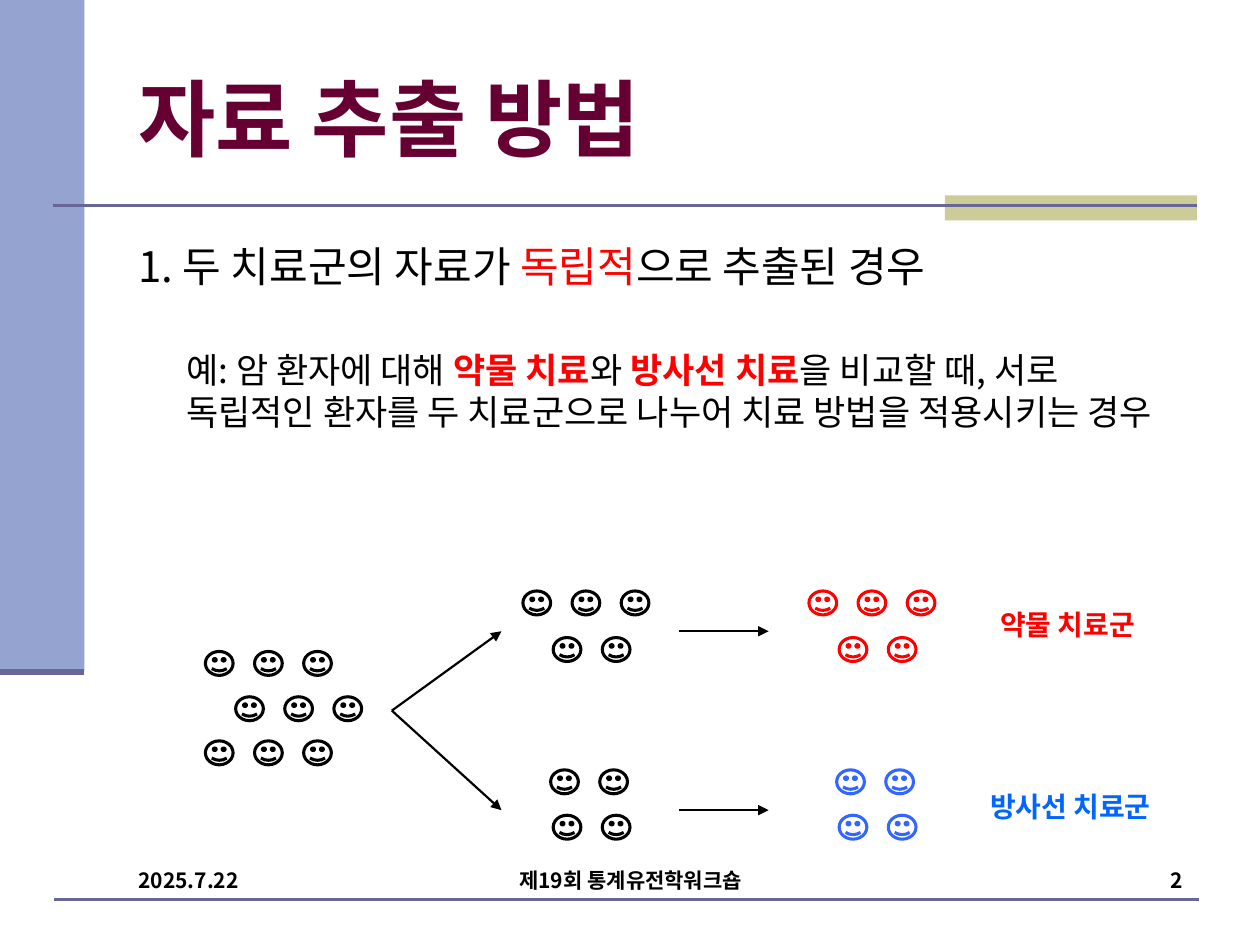
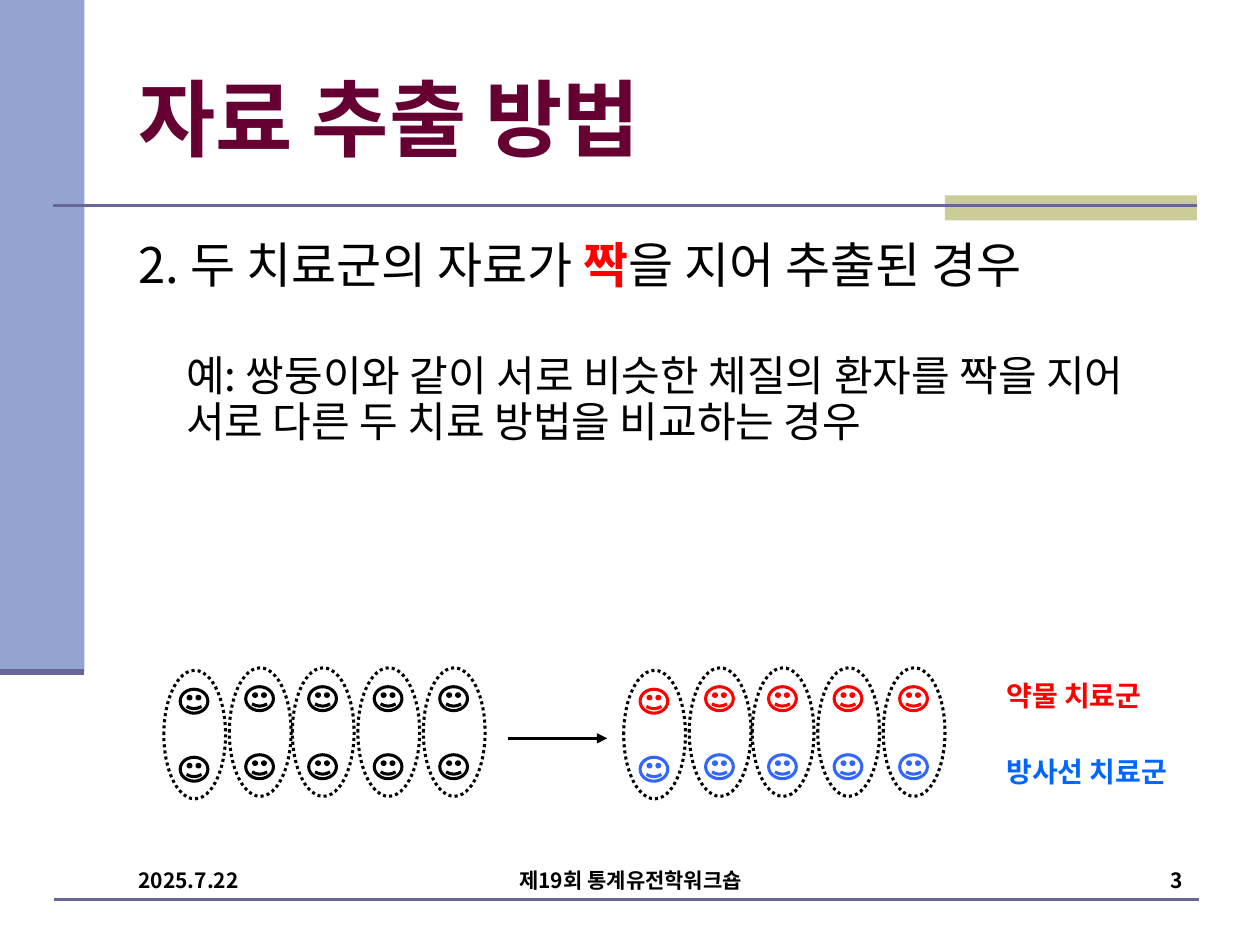
from dataclasses import dataclass

from pptx import Presentation
from pptx.dml.color import RGBColor as Color
from pptx.enum.dml import MSO_LINE as Dash
from pptx.enum.shapes import MSO_CONNECTOR as Link, MSO_SHAPE as Form
from pptx.enum.text import MSO_ANCHOR as Anchor, PP_ALIGN as Align
from pptx.oxml.ns import qn
from pptx.util import Inches, Pt
from lxml.etree import SubElement


@dataclass(frozen=True)
class Theme:
    font: str = "Noto Sans CJK KR"
    black: str = "000000"
    wine: str = "660033"
    red: str = "FF0000"
    blue: str = "0066FF"
    sky: str = "3366FF"
    band: str = "95A3D1"
    sand: str = "CCCC99"
    rule: str = "666699"
    title: int = 48
    label: int = 16
    foot: int = 12
    lead: float = 1.2
    thin: float = 1.25
    thick: float = 1.75


T = Theme()
TITLE = "자료 추출 방법"
DATE = "2025.7.22"
EVENT = "제19회 통계유전학워크숍"
DRUG = "약물 치료군"
BEAM = "방사선 치료군"
PAIRS = [(1.43, 5.47), (1.95, 5.45), (2.45, 5.45), (2.97, 5.45), (3.49, 5.45)]


def ink(code):
    return Color.from_string(code)


def put(slide, form, x, y, w, h):
    shape = slide.shapes.add_shape(form, *map(Inches, (x, y, w, h)))
    shape.shadow.inherit = False
    return shape


def block(slide, x, y, w, h, tone):
    shape = put(slide, Form.RECTANGLE, x, y, w, h)
    shape.fill.solid()
    shape.fill.fore_color.rgb = ink(tone)
    shape.line.fill.background()


def ring(slide, form, x, y, w, h, tone, dash=None):
    shape = put(slide, form, x, y, w, h)
    shape.fill.background()
    shape.line.color.rgb = ink(tone)
    shape.line.width = Pt(T.thick)
    if dash:
        shape.line.dash_style = dash


def face(slide, x, y, tone=T.black):
    ring(slide, Form.SMILEY_FACE, x, y, 0.22, 0.19, tone)


def crowd(slide, rows, tone=T.black, shift=0):
    for x, y, count in rows:
        for i in range(count):
            face(slide, x + shift + i * 0.39, y, tone)


def pair(slide, x, y, top, low):
    face(slide, x, y, top)
    face(slide, x, y + 0.54, low)
    ring(slide, Form.OVAL, x - 0.13, y - 0.15, 0.49, 1.02, T.black, Dash.ROUND_DOT)


def line(slide, start, end, tone, width, head=False):
    link = slide.shapes.add_connector(Link.STRAIGHT, *map(Inches, start + end))
    link.line.color.rgb = ink(tone)
    link.line.width = Pt(width)
    if head:
        SubElement(link.line._get_or_add_ln(), qn("a:tailEnd"), type="triangle")
    SubElement(link._element.spPr, qn("a:effectLst"))


def arrow(slide, start, end, width=T.thin):
    line(slide, start, end, T.black, width, True)


def frame(slide, x, y, w, h):
    box = slide.shapes.add_textbox(*map(Inches, (x, y, w, h))).text_frame
    box.word_wrap = True
    return box


def write(para, runs, size, lead=T.lead):
    para.line_spacing = Pt(round(size * lead, 1))
    for text, tone, bold in runs:
        run = para.add_run()
        run.text = text
        font = run.font
        font.name, font.size, font.bold = T.font, Pt(size), bold
        font.color.rgb = ink(tone)
        SubElement(run._r.get_or_add_rPr(), qn("a:ea"), typeface=T.font)


def label(slide, text, x, y, w, h, size, tone=T.black, align=Align.LEFT):
    box = frame(slide, x, y, w, h)
    para = box.paragraphs[0]
    para.alignment = align
    write(para, [(text, tone, True)], size)
    return box


def arm(slide, text, x, y, tone):
    label(slide, text, x, y, 1.65, 0.37, T.label, tone)


def plain(text):
    return text, T.black, False


def body(slide, y, size, head, case, gap, lead):
    box = frame(slide, 1, y, 8.5, 2.5)
    write(box.paragraphs[0], head, size)
    para = box.add_paragraph()
    para.space_before = Pt(gap)
    para._p.get_or_add_pPr().set("marL", str(Inches(0.38)))
    write(para, case, size - 4, lead)


def base(deck, page):
    slide = deck.slides.add_slide(deck.slide_layouts[6])
    block(slide, 0, 0, 0.67, 5.33, T.band)
    block(slide, 7.5, 1.55, 2, 0.2, T.sand)
    line(slide, (0.42, 1.63), (9.5, 1.63), T.rule, 1.5)
    line(slide, (0, 5.33), (0.67, 5.33), T.rule, 3.5)
    line(slide, (0.43, 7.14), (9.52, 7.14), T.rule, 1.5)
    title = label(slide, TITLE, 1, 0.3, 8.5, 1.25, T.title, T.wine)
    title.vertical_anchor = Anchor.MIDDLE
    label(slide, DATE, 1, 6.84, 2.17, 0.5, T.foot)
    label(slide, EVENT, 3.38, 6.84, 3.25, 0.5, T.foot, align=Align.CENTER)
    label(slide, str(page), 7.41, 6.84, 2.08, 0.2, T.foot, align=Align.RIGHT)
    return slide


def split(deck):
    slide = base(deck, 2)
    head = [plain("1. 두 치료군의 자료가 "), ("독립적", T.red, False),
            plain("으로 추출된 경우")]
    case = [plain("예: 암 환자에 대해 "), ("약물 치료", T.red, True), plain("와 "),
            ("방사선 치료", T.red, True),
            plain("을 비교할 때, 서로 독립적인 환자를 두 치료군으로 나누어 "
                  "치료 방법을 적용시키는 경우")]
    body(slide, 1.86, 24, head, case, 33, T.lead)
    crowd(slide, [(1.63, 5.17, 3), (1.87, 5.53, 3), (1.63, 5.88, 3)])
    drug = [(4.15, 4.69, 3), (4.39, 5.06, 2)]
    beam = [(4.37, 6.11, 2), (4.39, 6.47, 2)]
    for rows, y, tone in ((drug, 5.01, T.red), (beam, 6.43, T.sky)):
        arrow(slide, (3.11, 5.64), (3.98, y))
        crowd(slide, rows)
        arrow(slide, (5.39, y), (6.1, y))
        crowd(slide, rows, tone, 2.27)
    arm(slide, DRUG, 7.84, 4.77, T.red)
    arm(slide, BEAM, 7.76, 6.22, T.blue)


def match(deck):
    slide = base(deck, 3)
    head = [plain("2. 두 치료군의 자료가 "), ("짝", T.red, True),
            plain("을 지어 추출된 경우")]
    case = [plain("예: 쌍둥이와 같이 서로 비슷한 체질의 환자를 짝을 지어 "
                  "서로 다른 두 치료 방법을 비교하는 경우")]
    body(slide, 1.81, 28, head, case, 34.5, 1.1)
    for shift, top, low in ((0, T.black, T.black), (3.65, T.red, T.sky)):
        for x, y in PAIRS:
            pair(slide, x + shift, y, top, low)
    arrow(slide, (4.03, 5.86), (4.82, 5.86), T.thick)
    arm(slide, DRUG, 7.89, 5.34, T.red)
    arm(slide, BEAM, 7.89, 5.94, T.blue)


def main():
    deck = Presentation()
    deck.slide_width, deck.slide_height = Inches(10), Inches(7.5)
    split(deck)
    match(deck)
    deck.save("out.pptx")


if __name__ == "__main__":
    main()
